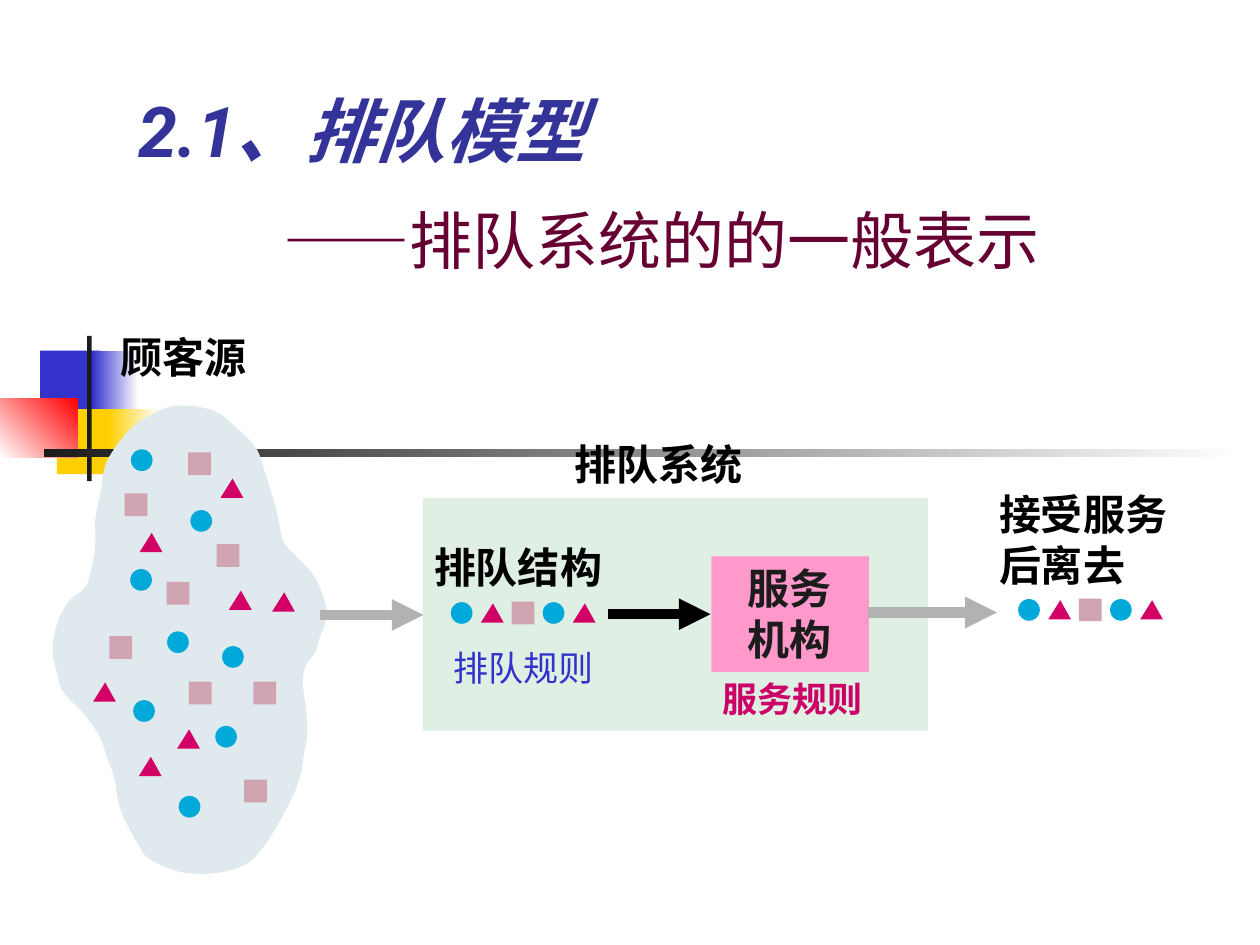
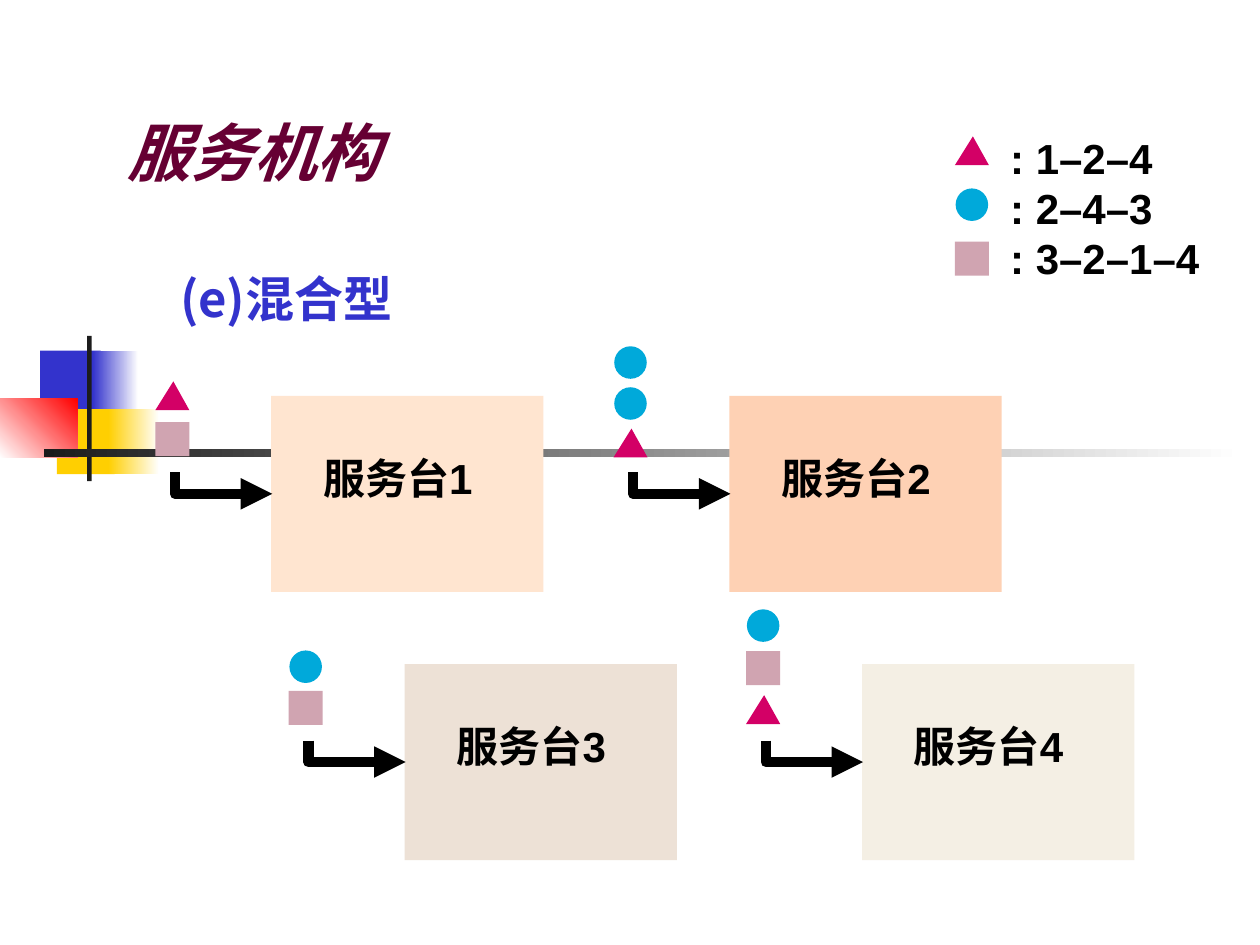
from dataclasses import dataclass
from typing import Optional

from lxml import etree
from pptx import Presentation
from pptx import util as u
from pptx.dml.color import RGBColor
from pptx.enum import shapes, text
from pptx.oxml import ns

HUES = {
    "white": "FFFFFF", "black": "000000", "ink": "1C1C1C", "blue": "3333CC",
    "gold": "FFCF01", "red": "FF0000", "navy": "333399", "wine": "660033",
    "rose": "CC0066", "grey": "B2B2B2", "cloud": "E0EAEE", "mint": "E0EFE4",
    "pink": "FF99CC", "sky": "00A9DA", "ruby": "D30066", "mauve": "D0A4B1",
    "peach": "FFE5D0", "coral": "FED1B4", "sand": "EDE1D6", "cream": "F4EFE4",
}
CJK = "Noto Sans CJK SC"
KINDS = shapes.MSO_SHAPE
LEFT, MID = text.PP_ALIGN.LEFT, text.PP_ALIGN.CENTER


@dataclass
class Label:
    words: str
    x: float
    y: float
    w: float
    h: float
    size: float = 24
    hue: str = "black"
    font: str = "Arial"
    bold: bool = True
    slant: bool = False
    align: text.PP_ALIGN = LEFT
    anchor: text.MSO_ANCHOR = text.MSO_ANCHOR.TOP


@dataclass
class Block:
    x: float
    y: float
    w: float
    h: float
    hue: str
    fade: Optional[str] = None
    angle: float = 0


@dataclass
class Mark:
    kind: shapes.MSO_SHAPE
    w: float
    h: float
    hue: str


@dataclass
class Desk:
    name: str
    x: float
    y: float
    hue: str
    queue: tuple  # mark letter, centre relative to the desk top


# Customer types, at the small size
MARKS = {
    "o": Mark(KINDS.OVAL, 12.4, 12.4, "sky"),
    "t": Mark(KINDS.ISOSCELES_TRIANGLE, 13, 11, "ruby"),
    "s": Mark(KINDS.RECTANGLE, 13, 13, "mauve"),
}
BIG = 1.5

# Ornament shared by the slides
DECOR = [
    Block(23, 200.4, 34.5, 37.2, "blue"),
    Block(53, 200.4, 26, 37.2, "blue", "white"),
    Block(32.5, 233.8, 33, 37.2, "gold"),
    Block(62, 233.8, 29, 37.2, "gold", "white"),
    Block(0, 228, 44.3, 33.5, "white", "red", 45),
    Block(49.8, 192, 2.6, 83, "ink"),
    Block(25, 256.8, 685, 4.4, "ink", "white"),
]

# Outline of the customer source
CLOUD = [
    (110, 232), (124, 235.5), (134, 243.5), (146, 255.5), (151, 268.5),
    (157.5, 290), (160, 301.5), (162.5, 310.5), (170, 318.5), (180, 330),
    (186, 345), (186, 355.5), (183, 363.5), (180, 373), (175, 380),
    (173, 389.5), (175, 406), (175.5, 420), (173.5, 432), (172, 441.5),
    (168, 453.5), (158.5, 471.5), (150.5, 484), (142.5, 492.5), (131, 497.5),
    (115, 499.5), (100, 497.5), (85, 490.5), (79, 482.5), (72, 470),
    (67.5, 458), (65.5, 445), (61, 432.5), (57, 421), (48, 408),
    (36.5, 396), (32.5, 384.5), (30, 370), (33, 355.5), (39, 344),
    (49, 335), (52.5, 324), (54.5, 311), (54.5, 296.5), (57.5, 281.5),
    (60.5, 265), (69, 251.5), (78, 242), (85.5, 237.5), (97, 232.5),
]
CROWD = {
    "o": [(81, 263), (115, 297.7), (80.6, 331.4), (101.7, 367), (133.1, 375.4),
          (82.3, 406.3), (129.2, 421), (108.3, 461)],
    "t": [(132.5, 279), (162, 344), (86.3, 310), (137.3, 343), (107.7, 422.3),
          (59.7, 395.5), (85.8, 438)],
    "s": [(146, 452), (151.3, 396), (114.4, 396), (69, 370), (114, 265),
          (77.7, 288.5), (130.3, 317.4), (101.7, 339)],
}

DESK_W, DESK_H = 155.6, 112
DESKS = [
    Desk("服务台1", 155, 226.2, "peach", (("t", 0), ("s", 24.8))),
    Desk("服务台2", 416.8, 226.2, "coral", (("o", -19), ("o", 4.4), ("t", 27))),
    Desk("服务台3", 231.2, 379.5, "sand", (("o", 1.5), ("s", 25))),
    Desk("服务台4", 492.6, 379.5, "cream", (("o", -22), ("s", 2.3), ("t", 26))),
]


def rgb(hue: str) -> RGBColor:
    return RGBColor.from_string(HUES[hue])


def add_shape(slide, kind, x: float, y: float, w: float, h: float, hue: str):
    """Plain filled preset shape without outline."""
    form = slide.shapes.add_shape(kind, u.Pt(x), u.Pt(y), u.Pt(w), u.Pt(h))
    form.shadow.inherit = False
    form.fill.solid()
    form.fill.fore_color.rgb = rgb(hue)
    form.line.fill.background()
    return form


def add_block(slide, b: Block) -> None:
    form = add_shape(slide, KINDS.RECTANGLE, b.x, b.y, b.w, b.h, b.hue)
    if b.fade:
        form.fill.gradient()
        form.fill.gradient_angle = b.angle
        for stop, pos, hue in zip(form.fill.gradient_stops, (0, 1), (b.hue, b.fade)):
            stop.position = pos
            stop.color.rgb = rgb(hue)


def add_mark(slide, key: str, cx: float, cy: float, scale: float = 1) -> None:
    m = MARKS[key]
    w, h = m.w * scale, m.h * scale
    form = add_shape(slide, m.kind, cx - w / 2, cy - h / 2, w, h, m.hue)
    if key == "t":
        form.adjustments[0] = 0.53


def add_row(slide, cx: float, cy: float) -> None:
    """Waiting line of five customers."""
    for i, key in enumerate("otsot"):
        add_mark(slide, key, cx + i * 17.5, cy)


def add_label(slide, lb: Label) -> None:
    box = slide.shapes.add_textbox(u.Pt(lb.x), u.Pt(lb.y), u.Pt(lb.w), u.Pt(lb.h))
    frame = box.text_frame
    frame.word_wrap = True
    frame.vertical_anchor = lb.anchor
    frame.text = lb.words
    for para in frame.paragraphs:
        para.alignment = lb.align
        font = para.font
        font.name, font.size = lb.font, u.Pt(lb.size)
        font.bold, font.italic = lb.bold, lb.slant
        font.color.rgb = rgb(lb.hue)
        props = para._p.pPr.find(ns.qn("a:defRPr"))
        etree.SubElement(props, ns.qn("a:ea"), typeface=CJK)


def add_title(slide, words: str, x: float, y: float, w: float, h: float,
              size: float, hue: str) -> None:
    add_label(slide, Label(words, x, y, w, h, size, hue, "Roboto", slant=True,
                           anchor=text.MSO_ANCHOR.MIDDLE))


def set_arrow(form, hue: str) -> None:
    """Thick line that ends in a triangle."""
    form.line.color.rgb = rgb(hue)
    form.line.width = u.Pt(6)
    props = form._element.spPr
    etree.SubElement(props.find(ns.qn("a:ln")), ns.qn("a:tailEnd"), type="triangle")
    etree.SubElement(props, ns.qn("a:effectLst"))


def add_arrow(slide, x: float, end: float, y: float, hue: str) -> None:
    form = slide.shapes.add_connector(shapes.MSO_CONNECTOR.STRAIGHT,
                                      u.Pt(x), u.Pt(y), u.Pt(end), u.Pt(y))
    set_arrow(form, hue)


def trace(slide, pts: list, close: bool):
    """Freeform through points, kept to a tenth of a point."""
    pts = [(x * 10, y * 10) for x, y in pts]
    pen = slide.shapes.build_freeform(*pts[0], scale=u.Pt(0.1))
    pen.add_line_segments(pts[1:], close=close)
    return pen.convert_to_shape()


def smooth(pts: list, steps: int = 5) -> list:
    """Closed Catmull-Rom curve through the points."""
    out = []
    for i in range(len(pts)):
        quad = [pts[(i + k) % len(pts)] for k in (-1, 0, 1, 2)]
        for t in (k / steps for k in range(steps)):
            out.append(tuple(
                b + t * (c - a) / 2 + t * t * (2 * a - 5 * b + 4 * c - d) / 2
                + t ** 3 * (3 * b - a - 3 * c + d) / 2
                for a, b, c, d in zip(*quad)))
    return out


def add_desk(slide, d: Desk) -> None:
    add_shape(slide, KINDS.RECTANGLE, d.x, d.y, DESK_W, DESK_H, d.hue)
    add_label(slide, Label(d.name, d.x + 22.6, d.y + 28.8, 111, 36))
    for key, dy in d.queue:
        add_mark(slide, key, d.x - 56.5, d.y + dy, BIG)
    x, y = d.x - 55, d.y + 43.8
    elbow = trace(slide, [(x, y), (x, y + 12.2), (x + 55.6, y + 12.2)], False)
    elbow.fill.background()
    set_arrow(elbow, "black")


def new_slide(prs):
    slide = prs.slides.add_slide(prs.slide_layouts[6])
    for b in DECOR:
        add_block(slide, b)
    return slide


def draw_model(prs) -> None:
    slide = new_slide(prs)
    add_title(slide, "2.1、排队模型", 72, 36, 514, 76, 40, "navy")
    add_label(slide, Label("——排队系统的的一般表示", 36, 111.6, 684, 66, 36,
                           "wine", CJK, bold=False, align=MID))

    # Customer source
    cloud = trace(slide, smooth(CLOUD), True)
    cloud.shadow.inherit = False
    cloud.fill.solid()
    cloud.fill.fore_color.rgb = rgb("cloud")
    cloud.line.fill.background()
    for key, spots in CROWD.items():
        for cx, cy in spots:
            add_mark(slide, key, cx, cy)

    # Queueing system
    add_arrow(slide, 183, 242, 351.4, "grey")
    add_block(slide, Block(241.7, 284.5, 288.6, 133, "mint"))
    add_row(slide, 263.8, 350.3)
    add_arrow(slide, 347.5, 406, 351, "black")
    add_block(slide, Block(406.5, 318, 90, 66, "pink"))

    # Departure
    add_row(slide, 588, 348.5)
    add_arrow(slide, 496, 569.6, 350, "grey")

    for lb in (
        Label("顾客源", 49.7, 185.8, 110, 55, font="Times New Roman", align=MID),
        Label("排队系统", 321, 247, 112, 36),
        Label("排队结构", 240, 306, 112, 36, align=MID),
        Label("服务\n机构", 420, 318, 66, 65, hue="ink"),
        Label("排队规则", 252, 365.8, 100, 31, 20, "blue", "Times New Roman", False),
        Label("服务规则", 401.8, 383.8, 102, 31, 20, "rose", align=MID),
        Label("接受服务\n后离去", 563.8, 275.8, 114, 65),
    ):
        add_label(slide, lb)


def draw_desks(prs) -> None:
    slide = new_slide(prs)
    add_title(slide, "服务机构", 66, 54, 255, 65, 36, "wine")
    add_label(slide, Label("(e)混合型", 95.8, 149.8, 138, 41, 28, "blue", CJK))
    for d in DESKS:
        add_desk(slide, d)

    # Route of each customer type
    add_label(slide, Label(": 1–2–4\n: 2–4–3\n: 3–2–1–4", 570.2, 72, 128, 94))
    for i, key in enumerate("tos"):
        add_mark(slide, key, 555.4, 86.2 + i * 30.8, BIG)


def main() -> None:
    prs = Presentation()
    prs.slide_width, prs.slide_height = u.Pt(720), u.Pt(540)
    draw_model(prs)
    draw_desks(prs)
    prs.save("out.pptx")


if __name__ == "__main__":
    main()
